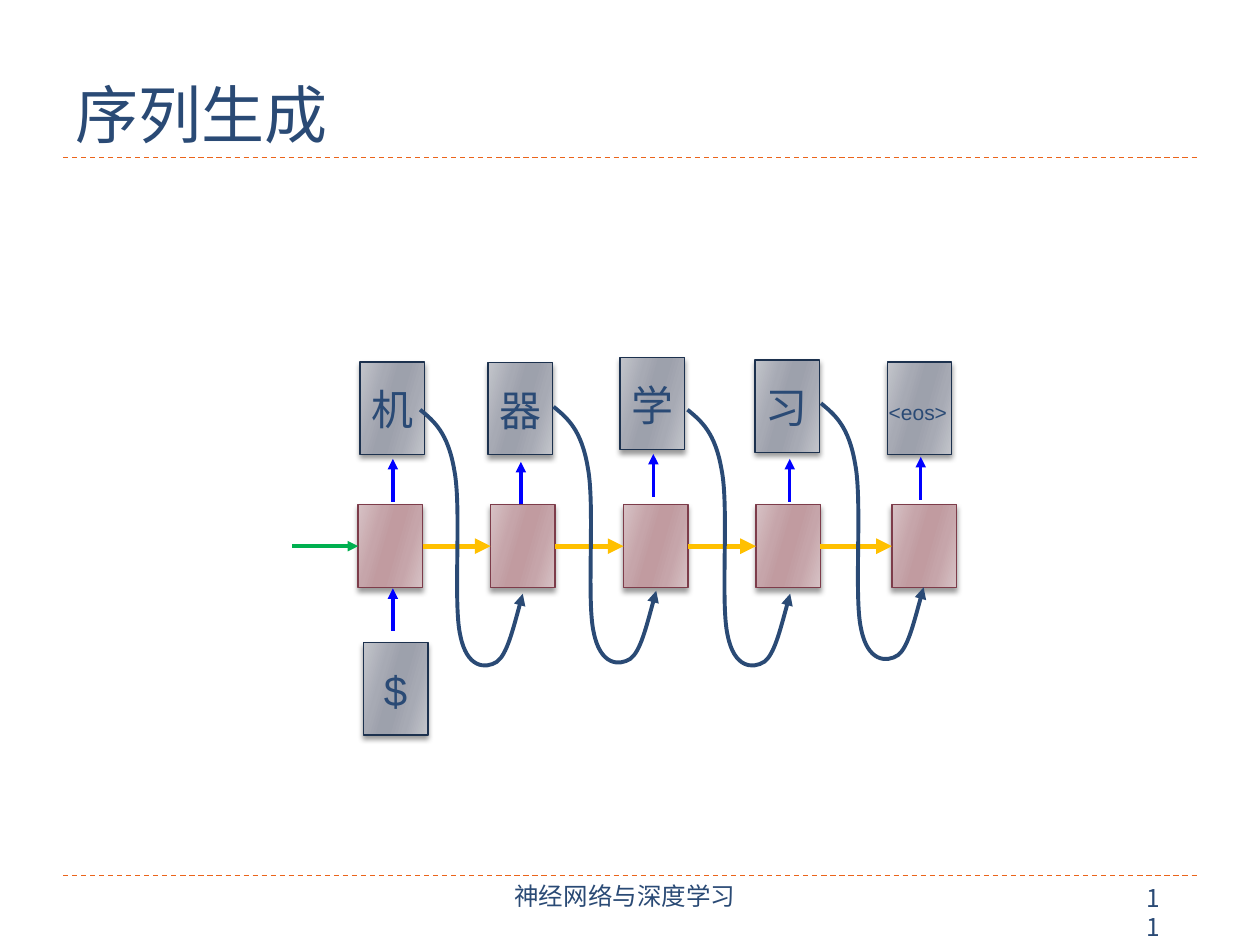
from lxml import etree
from pptx import Presentation
from pptx.dml.color import RGBColor
from pptx.enum.dml import MSO_LINE
from pptx.enum.shapes import MSO_CONNECTOR, MSO_SHAPE
from pptx.enum.text import MSO_ANCHOR, PP_ALIGN
from pptx.oxml import parse_xml
from pptx.oxml.ns import nsdecls, qn
from pptx.util import Cm, Pt

DASH = MSO_LINE.DASH
STRAIGHT = MSO_CONNECTOR.STRAIGHT
RECTANGLE = MSO_SHAPE.RECTANGLE
TOP, BOTTOM = MSO_ANCHOR.TOP, MSO_ANCHOR.BOTTOM
LEFT, CENTER = PP_ALIGN.LEFT, PP_ALIGN.CENTER
LEFT_SIDE, RIGHT_SIDE = 1, 3

THEME = {
    "ink": "2A4A75", "rule": "EB641B", "emit": "0000FF",
    "initial": "00B050", "recur": "FFC000",
    "state": ("7D3C4A", ("D7C2C5", "C6A5AA", "C19BA0")),
    "word": ("1C314E", ("C3C5CB", "A7AAB4", "9DA1AC")),
    "cjk": "Noto Sans CJK SC", "latin": "Arial",
    "title": 36, "footer": 14, "token": 24, "eos": 12,
}

TITLE = "序列生成"
FOOTER = "神经网络与深度学习"
PAGE = "11"
RULE_HEIGHTS = [3.18, 17.65]
STATE_LEFTS = [7.22, 9.89, 12.57, 15.24, 17.98]
STATE_TOP = 10.17
WORDS = [
    ("机", 7.26, 7.3),
    ("器", 9.84, 7.31),
    ("学", 12.5, 7.21),
    ("习", 15.22, 7.26),
    ("<eos>", 17.89, 7.3),
    ("$", 7.33, 12.96),
]
EMIT_STARTS = [(7.92, 10.11), (10.5, 10.17), (13.17, 10.01),
               (15.92, 10.11), (18.56, 10.07), (7.92, 12.72)]
FEEDBACK_STARTS = [(8.47, 8.26), (11.16, 8.2), (13.86, 8.26), (16.55, 8.13)]
FEEDBACK_BENDS = [
    ((0.28, 0.23), (0.56, 0.46), (0.69, 1.22)),
    ((0.84, 1.98), (0.66, 3.91), (0.81, 4.55)),
    ((0.94, 5.21), (1.32, 5.23), (1.55, 5.08)),
    ((1.75, 4.93), (1.9, 4.32), (2.07, 3.71)),
]
BOX_WIDTH, STATE_HEIGHT, WORD_HEIGHT = 1.3, 1.68, 1.86
LABEL_WIDTH, EMIT_LENGTH, FEEDBACK_HEIGHT = 1.75, 0.86, 5.16

deck = Presentation()
deck.slide_width, deck.slide_height = Cm(25.4), Cm(19.05)
shapes = deck.slides.add_slide(deck.slide_layouts[6]).shapes


def style_line(line, color, width, arrow=True):
    line.color.rgb = RGBColor.from_string(color)
    line.width = Pt(width)
    if arrow:
        etree.SubElement(line._get_or_add_ln(), qn("a:tailEnd"), type="triangle")


def add_text(text, left, top, width, height, size, font,
             align=LEFT, anchor=TOP, side=0.25, edge=0.13):
    box = shapes.add_textbox(Cm(left), Cm(top), Cm(width), Cm(height))
    frame = box.text_frame
    frame.word_wrap = True
    frame.vertical_anchor = anchor
    frame.margin_left = frame.margin_right = Cm(side)
    frame.margin_top = frame.margin_bottom = Cm(edge)
    frame.text = text
    paragraph = frame.paragraphs[0]
    paragraph.alignment = align
    run = paragraph.runs[0]
    run.font.size = Pt(size)
    run.font.name = font
    run.font.color.rgb = RGBColor.from_string(THEME["ink"])
    etree.SubElement(run._r.get_or_add_rPr(), qn("a:ea"), typeface=THEME["cjk"])


def add_line(start, end, color, width, arrow=True):
    line = shapes.add_connector(STRAIGHT, *map(Cm, start + end))
    style_line(line.line, color, width, arrow)
    etree.SubElement(line._element.spPr, qn("a:effectLst"))
    return line


def add_box(left, top, height, look):
    border, (outer, middle, inner) = look
    box = shapes.add_shape(RECTANGLE, Cm(left), Cm(top), Cm(BOX_WIDTH), Cm(height))
    box.fill.gradient()
    gradient = box._element.spPr.find(qn("a:gradFill"))
    stops = zip((0, 30, 45, 55, 73, 100), (outer, middle, inner, inner, middle, outer))
    stop_xml = "".join(
        f'<a:gs pos="{place * 1000}"><a:srgbClr val="{color}"/></a:gs>'
        for place, color in stops)
    gradient.getparent().replace(gradient, parse_xml(
        f'<a:gradFill {nsdecls("a")} rotWithShape="1"><a:gsLst>{stop_xml}</a:gsLst>'
        '<a:lin ang="960000" scaled="0"/></a:gradFill>'))
    style_line(box.line, border, 0.75, arrow=False)
    box.shadow.inherit = False
    box._element.spPr.find(qn("a:effectLst")).append(parse_xml(
        f'<a:outerShdw {nsdecls("a")} blurRad="{Pt(3)}" dist="{Pt(2)}" dir="5400000" '
        'rotWithShape="0"><a:srgbClr val="000000"><a:alpha val="40000"/>'
        '</a:srgbClr></a:outerShdw>'))
    return box


def add_feedback(left, top):
    outline = shapes.build_freeform(Cm(left), Cm(top))
    ends = [(Cm(left + x), Cm(top + y)) for _, _, (x, y) in FEEDBACK_BENDS]
    outline.add_line_segments(ends, close=False)
    curve = outline.convert_to_shape()
    curve.height = Cm(FEEDBACK_HEIGHT)
    track = next(curve._element.iter(qn("a:pathLst")))[0]
    track.set("h", str(Cm(FEEDBACK_HEIGHT)))
    for segment, bend in zip(track.findall(qn("a:lnTo")), FEEDBACK_BENDS):
        bezier = etree.Element(qn("a:cubicBezTo"))
        for x, y in bend:
            etree.SubElement(bezier, qn("a:pt"), x=str(Cm(x)), y=str(Cm(y)))
        track.replace(segment, bezier)
    curve.fill.background()
    curve.shadow.inherit = False
    style_line(curve.line, THEME["ink"], 2.25)


for height in RULE_HEIGHTS:
    rule = add_line((1.27, height), (24.13, height), THEME["rule"], 0.75, arrow=False)
    rule.line.dash_style = DASH

add_text(FOOTER, 8.47, 17.66, 8.26, 1.02, THEME["footer"], THEME["cjk"],
         align=CENTER, side=0.18, edge=0.1)
add_text(PAGE, 22.86, 17.67, 1.04, 0.86, THEME["footer"], THEME["cjk"])
add_text(TITLE, 1.27, 0.43, 22.86, 2.74, THEME["title"], THEME["cjk"], anchor=BOTTOM)

states = [add_box(left, STATE_TOP, STATE_HEIGHT, THEME["state"]) for left in STATE_LEFTS]

for word, left, top in WORDS:
    add_box(left, top, WORD_HEIGHT, THEME["word"])
    is_eos = word == "<eos>"
    shift, drop, height = (0.26, 0.63, 0.76) if is_eos else (0.23, 0.31, 1.27)
    add_text(word, left - shift, top + drop, LABEL_WIDTH, height,
             THEME["eos" if is_eos else "token"], THEME["latin"], align=CENTER)

for x, y in EMIT_STARTS:
    add_line((x, y), (x, y - EMIT_LENGTH), THEME["emit"], 2)

middle = STATE_TOP + STATE_HEIGHT / 2
initial = add_line((5.89, middle), (STATE_LEFTS[0], middle), THEME["initial"], 2)
initial.end_connect(states[0], LEFT_SIDE)

for source, target in zip(states, states[1:]):
    recur = add_line((0, 0), (1, 1), THEME["recur"], 3)
    recur.begin_connect(source, RIGHT_SIDE)
    recur.end_connect(target, LEFT_SIDE)

for left, top in FEEDBACK_STARTS:
    add_feedback(left, top)

deck.save("out.pptx")
